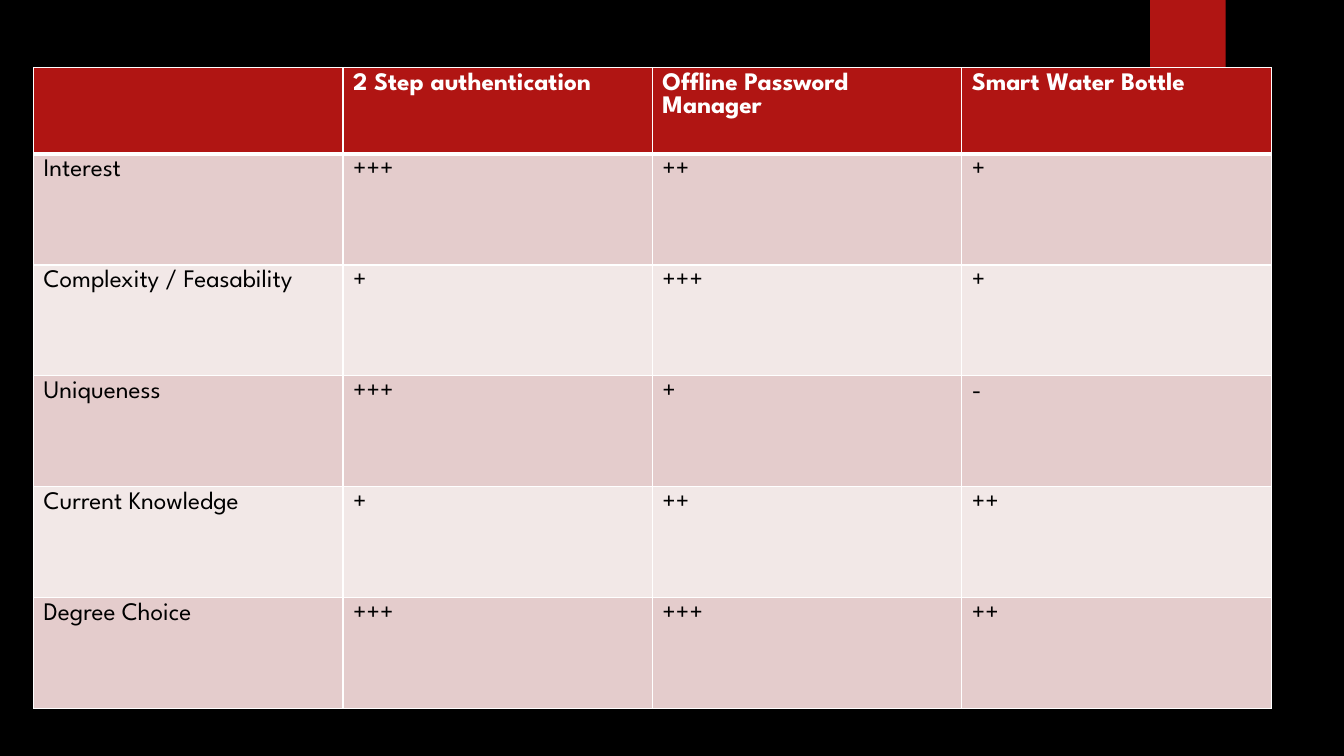
"""Build a slide that compares three project ideas in a table."""
from lxml import etree
from pptx import Presentation
from pptx.dml.color import RGBColor
from pptx.enum import shapes
from pptx.oxml import ns
from pptx.util import Pt

FONT = "League Spartan"
RED, WHITE, BLACK = "B01513", "FFFFFF", "000000"
BANDS = ("F2E8E7", "E4CCCC")
RATINGS = [
    ("", "2 Step authentication", "Offline Password Manager", "Smart Water Bottle"),
    ("Interest", "+++", "++", "+"),
    ("Complexity / Feasability", "+", "+++", "+"),
    ("Uniqueness", "+++", "+", "-"),
    ("Current Knowledge", "+", "++", "++"),
    ("Degree Choice", "+++", "+++", "++"),
]


def paint(fill, color):
    """Make a fill solid in a hex colour."""
    fill.solid()
    fill.fore_color.rgb = RGBColor.from_string(color)


def add_tab(slide):
    """Add the red tab at the top edge."""
    tab = slide.shapes.add_shape(
        shapes.MSO_SHAPE.RECTANGLE, Pt(821.5), Pt(0), Pt(54), Pt(90))
    tab.shadow.inherit = False
    paint(tab.fill, RED)
    tab.line.fill.background()


def add_border(cell, side, width):
    """Add a white border to one side of a cell."""
    border = etree.SubElement(
        cell._tc.get_or_add_tcPr(), ns.qn(f"a:ln{side}"), w=str(Pt(width)))
    solid = etree.SubElement(border, ns.qn("a:solidFill"))
    etree.SubElement(solid, ns.qn("a:srgbClr"), val=WHITE)


def fill_cell(cell, wording, row):
    """Give a cell its borders, fill and wording."""
    header = row == 0
    widths = {"L": 1, "R": 1, "T": 3 if row == 1 else 1, "B": 3 if header else 1}
    for side, width in widths.items():
        add_border(cell, side, width)
    paint(cell.fill, RED if header else BANDS[row % 2])
    if wording:
        run = cell.text_frame.paragraphs[0].add_run()
        run.text = wording
        run.font.name = FONT
        run.font.size = Pt(18)
        run.font.bold = header
        run.font.color.rgb = RGBColor.from_string(WHITE if header else BLACK)


def add_ratings(slide):
    """Add the table of ratings."""
    ratings = slide.shapes.add_table(
        len(RATINGS), len(RATINGS[0]), Pt(24), Pt(48.3), Pt(884), Pt(458)).table
    for column in ratings.columns:
        column.width = Pt(221)
    for row, wordings in enumerate(RATINGS):
        ratings.rows[row].height = Pt(79.25 if row else 61.75)
        for column, wording in enumerate(wordings):
            fill_cell(ratings.cell(row, column), wording, row)


def main():
    """Build and save the slide."""
    deck = Presentation()
    deck.slide_width, deck.slide_height = Pt(960), Pt(540)
    slide = deck.slides.add_slide(deck.slide_layouts[6])
    paint(slide.background.fill, BLACK)
    add_tab(slide)
    add_ratings(slide)
    deck.save("out.pptx")


if __name__ == "__main__":
    main()
